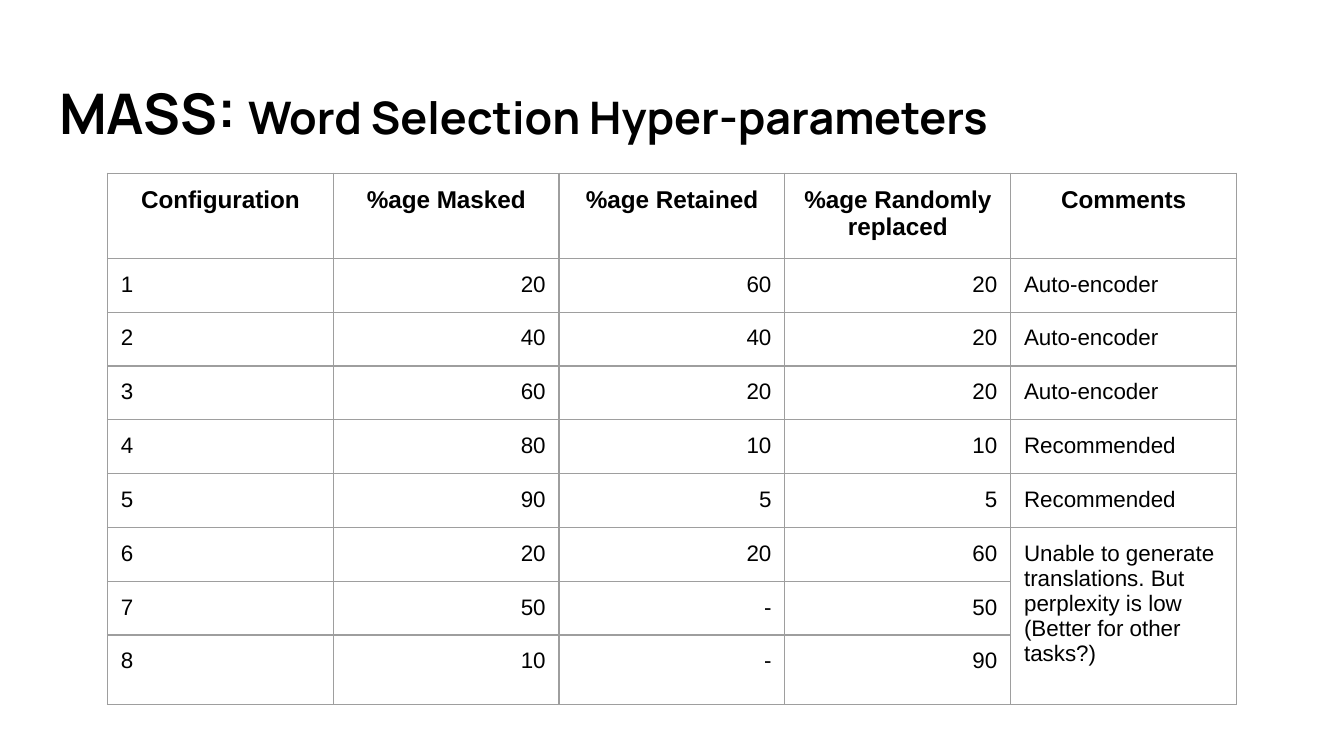
from copy import deepcopy

from lxml import etree
from pptx import Presentation
from pptx.dml.color import RGBColor
from pptx.enum.text import MSO_ANCHOR, PP_ALIGN
from pptx.oxml.ns import qn
from pptx.util import Inches, Pt

BLACK = RGBColor(0x00, 0x00, 0x00)
GREY = RGBColor(0x9E, 0x9E, 0x9E)
WHITE = RGBColor(0xFF, 0xFF, 0xFF)
LEFT, CENTER, RIGHT = PP_ALIGN.LEFT, PP_ALIGN.CENTER, PP_ALIGN.RIGHT
MIDDLE = MSO_ANCHOR.MIDDLE

SLIDE_WIDTH = Inches(10)
SLIDE_HEIGHT = SLIDE_WIDTH * 9 // 16
PADDING = Inches(0.1)
BORDER_SIDES = ("a:lnL", "a:lnR", "a:lnT", "a:lnB")

TITLE_FORMAT = {"name": "Manrope", "bold": True}
HEADER_FORMAT = {"name": "Arial", "size": Pt(13), "bold": True}
BODY_FORMAT = {"name": "Arial", "size": Pt(12), "bold": False}
CELL_SPACING = {"line_spacing": 1.0, "space_before": Pt(0),
                "space_after": Pt(0)}

HEADERS = ("Configuration", "%age Masked", "%age Retained",
           "%age Randomly replaced", "Comments")
CONFIGURATIONS = (
    ("1", "20", "60", "20", "Auto-encoder"),
    ("2", "40", "40", "20", "Auto-encoder"),
    ("3", "60", "20", "20", "Auto-encoder"),
    ("4", "80", "10", "10", "Recommended"),
    ("5", "90", "5", "5", "Recommended"),
    ("6", "20", "20", "60", "Unable to generate translations. "
     "But perplexity is low\v(Better for other tasks?)"),
    ("7", "50", "-", "50", ""),
    ("8", "10", "-", "90", ""),
)
BODY_ALIGNMENTS = (LEFT, RIGHT, RIGHT, RIGHT, LEFT)
HEADER_HEIGHT, BODY_HEIGHT, LAST_HEIGHT = 0.47, 0.4, 0.52


class SlideBuilder:
    """Holds the style and the slide; positions are percent of its size."""

    def __init__(self, presentation):
        self.slide = presentation.slides.add_slide(
            presentation.slide_layouts[6])
        self.slide.background.fill.solid()
        self.slide.background.fill.fore_color.rgb = WHITE

    def box(self, left, top, width, height):
        return (int(left * SLIDE_WIDTH / 100), int(top * SLIDE_HEIGHT / 100),
                int(width * SLIDE_WIDTH / 100),
                int(height * SLIDE_HEIGHT / 100))

    def apply(self, target, values):
        for name, value in values.items():
            setattr(target, name, value)

    def pad(self, target):
        self.apply(target, {f"margin_{side}": PADDING for side in
                            ("left", "right", "top", "bottom")})

    def style_run(self, run, values):
        self.apply(run.font, values)
        run.font.color.rgb = BLACK

    def title(self, place, parts):
        frame = self.slide.shapes.add_textbox(*self.box(*place)).text_frame
        self.pad(frame)
        self.apply(frame, {"word_wrap": True, "vertical_anchor": MIDDLE})
        for text, size in parts:
            run = frame.paragraphs[0].add_run()
            run.text = text
            self.style_run(run, TITLE_FORMAT | {"size": Pt(size)})

    def table(self, place, rows, row_heights):
        table = self.slide.shapes.add_table(
            len(rows), len(rows[0]), *self.box(*place)).table
        self.apply(table, {"first_row": False, "horz_banding": False})
        for row, height in zip(table.rows, row_heights):
            row.height = Inches(height)
        for r, texts in enumerate(rows):
            for c, text in enumerate(texts):
                if r == 0:
                    self.cell(table.cell(r, c), text, CENTER, HEADER_FORMAT)
                else:
                    self.cell(table.cell(r, c), text, BODY_ALIGNMENTS[c],
                              BODY_FORMAT)
        return table

    def cell(self, cell, text, alignment, values):
        self.pad(cell)
        paragraph = cell.text_frame.paragraphs[0]
        paragraph.text = text
        self.apply(paragraph, CELL_SPACING | {"alignment": alignment})
        for run in paragraph.runs:
            self.style_run(run, values)
        for line_break in paragraph._p.findall(qn("a:br")):
            line_break.append(deepcopy(paragraph.runs[0].font._element))
        self.borders(cell)
        cell.fill.background()

    def borders(self, cell):
        properties = cell._tc.get_or_add_tcPr()
        for side in BORDER_SIDES:
            line = etree.SubElement(properties, qn(side), w=str(Pt(0.75)))
            fill = etree.SubElement(line, qn("a:solidFill"))
            etree.SubElement(fill, qn("a:srgbClr"), val=str(GREY))


def main():
    presentation = Presentation()
    presentation.slide_width = SLIDE_WIDTH
    presentation.slide_height = SLIDE_HEIGHT
    builder = SlideBuilder(presentation)
    builder.title((3.41, 8.7, 93.2, 12.2),
                  (("MASS: ", 30), ("Word Selection Hyper-parameters", 24)))
    body_heights = [BODY_HEIGHT] * (len(CONFIGURATIONS) - 1)
    table = builder.table((8, 22.9, 84, 66), (HEADERS, *CONFIGURATIONS),
                          [HEADER_HEIGHT, *body_heights, LAST_HEIGHT])
    comments = len(HEADERS) - 1
    table.cell(6, comments).merge(table.cell(8, comments))
    presentation.save("out.pptx")


if __name__ == "__main__":
    main()
